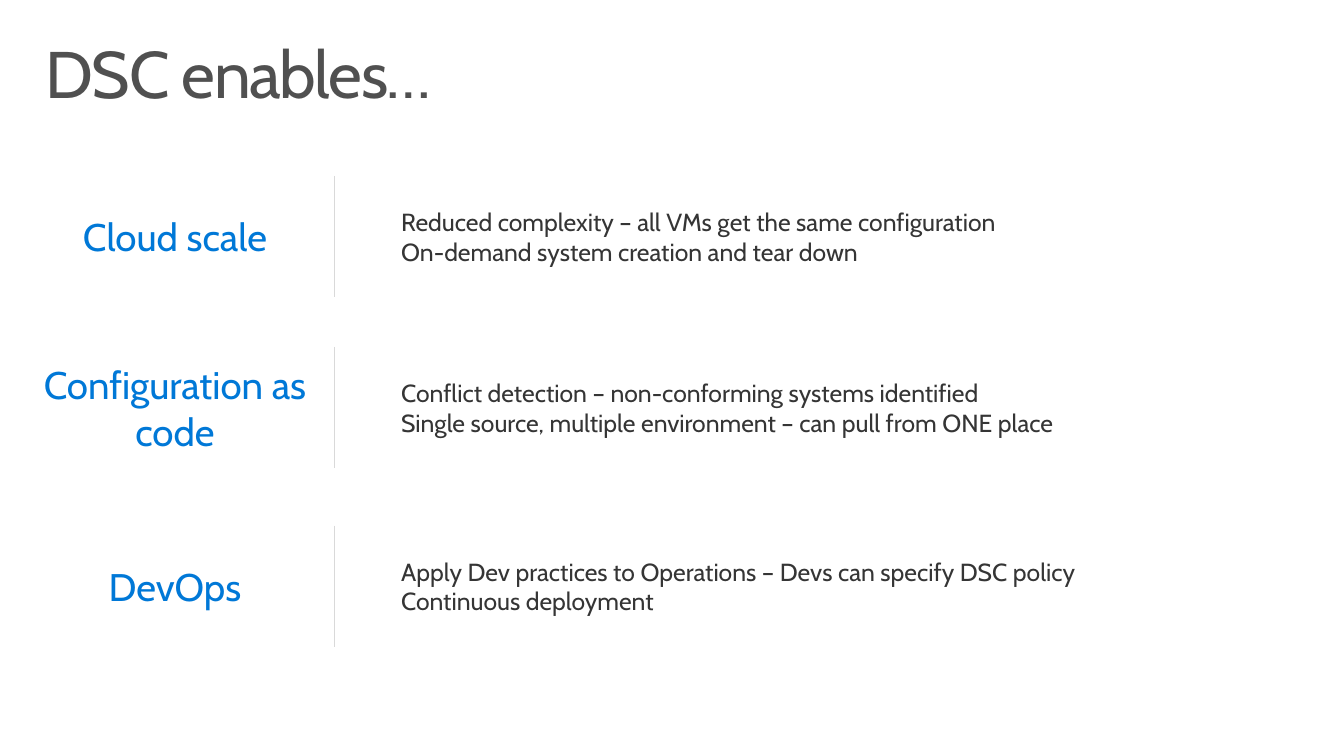
from pptx import Presentation
from pptx import util as u
from pptx.dml.color import RGBColor
from pptx.enum import shapes, text
from pptx.oxml.ns import qn
from lxml import etree

SCALE = 9144
COLORS = {"title": "505050", "topic": "0078D7", "body": "353535", "rule": "D9D9D9"}
ROWS = [
    (158, 163, 178, "Cloud scale",
     ["Reduced complexity – all VMs get the same configuration",
      "On-demand system creation and tear down"]),
    (332, 161, 351, "Configuration as code",
     ["Conflict detection – non-conforming systems identified",
      "Single source, multiple environment – can pull from ONE place"]),
    (504, 178, 532, "DevOps",
     ["Apply Dev practices to Operations – Devs can specify DSC policy",
      "Continuous deployment"]),
]


class Deck:
    """Holds the style and the current slide, and draws each kind of element."""

    def __init__(self, wide, high):
        self.prs = Presentation()
        self.prs.slide_width, self.prs.slide_height = self.emu(wide, high)
        self.slide = self.prs.slides.add_slide(self.prs.slide_layouts[5])

    def emu(self, *sizes):
        return [u.Emu(size * SCALE) for size in sizes]

    def frame(self, shape, side, anchor):
        frame = shape.text_frame
        frame.word_wrap = True
        frame.auto_size = text.MSO_AUTO_SIZE.NONE
        frame.vertical_anchor = anchor
        frame.margin_left = frame.margin_right = u.Emu(side * SCALE)
        return frame

    def style(self, para, size, color, align):
        para.alignment = align
        para.font.name = "Cabin"
        para.font.size = u.Pt(size)
        para.font.color.rgb = RGBColor.from_string(COLORS[color])

    def title(self, words, *box):
        shape = self.slide.shapes.title
        shape.left, shape.top, shape.width, shape.height = self.emu(*box)
        frame = self.frame(shape, 16, text.MSO_ANCHOR.TOP)
        frame.margin_top = frame.margin_bottom = u.Emu(10 * SCALE)
        para = frame.paragraphs[0]
        run = para.add_run()
        run.text = words
        para.line_spacing = 0.9
        self.style(para, 48, "title", text.PP_ALIGN.LEFT)
        run.font.language_id = None
        run.font._element.set("spc", "-100")

    def label(self, lines, box, size, color, align, indent=0):
        shape = self.slide.shapes.add_textbox(*self.emu(*box))
        frame = self.frame(shape, 0, text.MSO_ANCHOR.MIDDLE)
        frame.text = "\n".join(lines)
        for para in frame.paragraphs:
            self.style(para, size, color, align)
            para._p.get_or_add_pPr().set("marL", str(indent * SCALE))

    def rule(self, x, top, high):
        line = self.slide.shapes.add_connector(
            shapes.MSO_CONNECTOR.STRAIGHT, *self.emu(x, top, x, top + high))
        line.line.color.rgb = RGBColor.from_string(COLORS["rule"])
        line.line.width = u.Pt(0.75)
        etree.SubElement(line._element.spPr, qn("a:effectLst"))


def main():
    deck = Deck(1360, 765)
    deck.title("DSC enables…", 30, 32, 1300, 100)
    for top, high, start, topic, points in ROWS:
        deck.label([topic], (16, top, 322, high), 28, "topic", text.PP_ALIGN.CENTER)
        deck.label(points, (355, top, 917, high), 18, "body", text.PP_ALIGN.LEFT, 51)
        deck.rule(338, start, 123)
    deck.prs.save("out.pptx")


if __name__ == "__main__":
    main()
